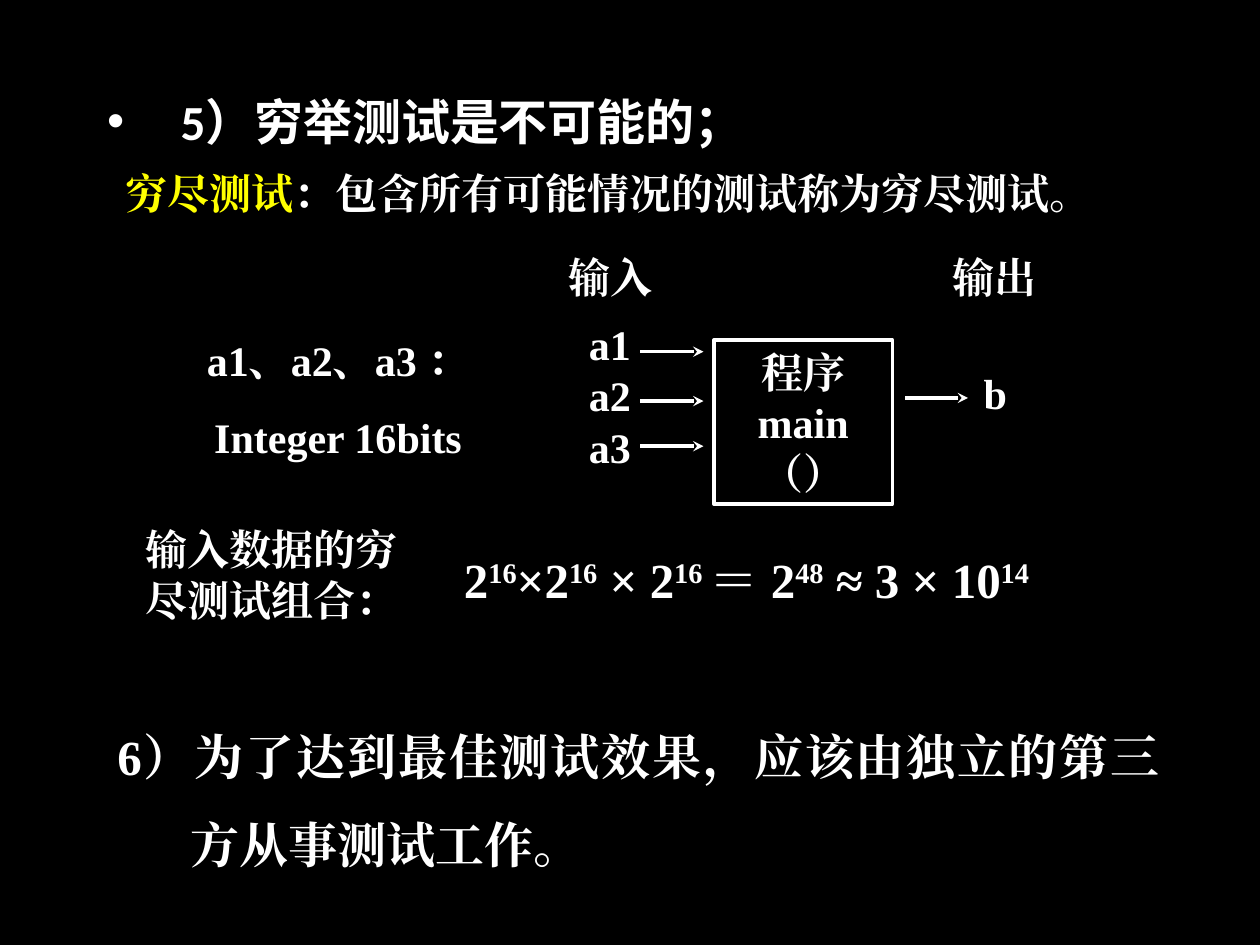
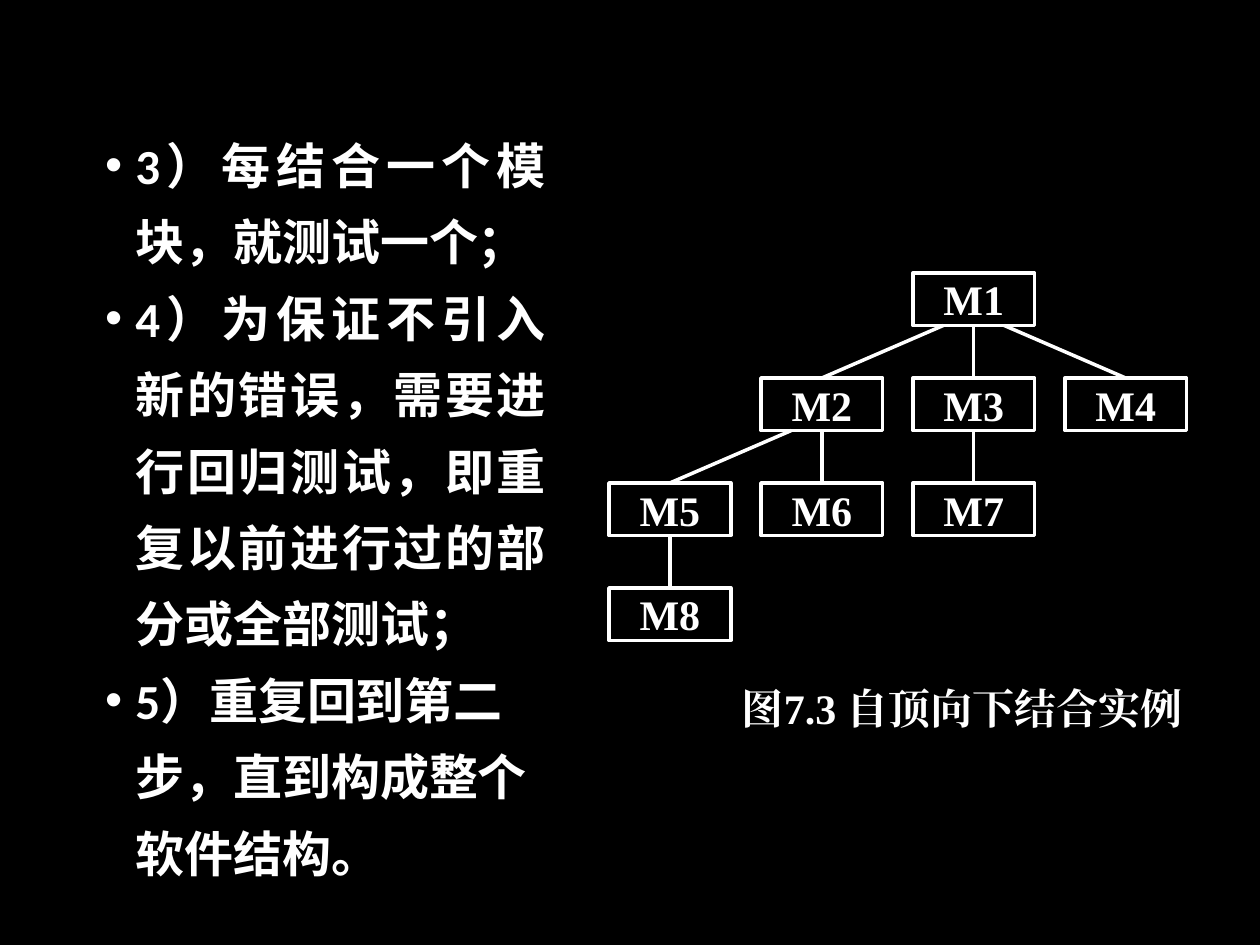
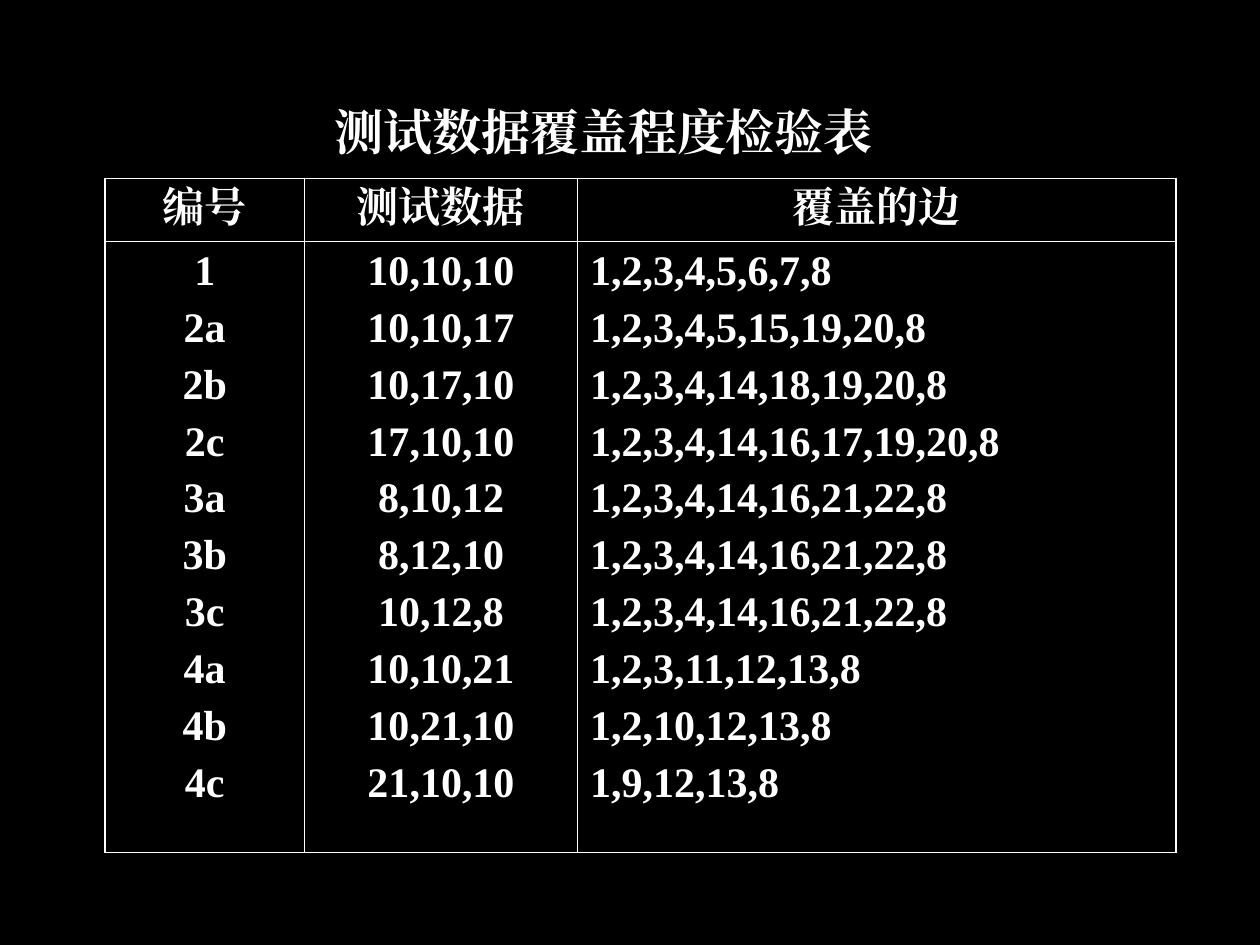
import pptx
import pptx.util
import pptx.dml.color
import pptx.enum.dml
import pptx.enum.shapes
import pptx.enum.text
import pptx.oxml
import pptx.oxml.ns

COLUMNS, ROWS = 120, 90
WIDTH, HEIGHT = pptx.util.Inches(10), pptx.util.Inches(7.5)
WHITE, YELLOW, BLACK = "FFFFFF", "FFFF00", "000000"
SERIF, SANS, CJK = "Times New Roman", "Calibri", "Noto Sans CJK SC"
LABEL = {"size": pptx.util.Pt(24), "name": SERIF, "bold": True}
HEADING = {**LABEL, "size": pptx.util.Pt(28)}
LIST = {**HEADING, "name": SANS}
PAD = (0.1, 0.05, 0.1, 0.05)
ALIGN = pptx.enum.text.PP_ALIGN
ANCHOR = pptx.enum.text.MSO_ANCHOR

MODULES = {"M1": (2, 0), "M2": (1, 1), "M3": (2, 1), "M4": (3, 1),
           "M5": (0, 2), "M6": (1, 2), "M7": (2, 2), "M8": (0, 3)}
CALLS = [("M1", "M2"), ("M1", "M3"), ("M1", "M4"), ("M2", "M5"),
         ("M2", "M6"), ("M3", "M7"), ("M5", "M8")]
HEADERS = ["编号", "测试数据", "覆盖的边"]
CASES = [
    ("1", "10,10,10", "1,2,3,4,5,6,7,8"),
    ("2a", "10,10,17", "1,2,3,4,5,15,19,20,8"),
    ("2b", "10,17,10", "1,2,3,4,14,18,19,20,8"),
    ("2c", "17,10,10", "1,2,3,4,14,16,17,19,20,8"),
    ("3a", "8,10,12", "1,2,3,4,14,16,21,22,8"),
    ("3b", "8,12,10", "1,2,3,4,14,16,21,22,8"),
    ("3c", "10,12,8", "1,2,3,4,14,16,21,22,8"),
    ("4a", "10,10,21", "1,2,3,11,12,13,8"),
    ("4b", "10,21,10", "1,2,10,12,13,8"),
    ("4c", "21,10,10", "1,9,12,13,8"),
]


def rgb(color):
    """Turn a hex string into a colour."""
    return pptx.dml.color.RGBColor.from_string(color)


def across(columns):
    """Length of a number of grid columns."""
    return int(WIDTH * columns / COLUMNS)


def down(rows):
    """Length of a number of grid rows."""
    return int(HEIGHT * rows / ROWS)


def grid(x, y, w, h):
    """Turn a box in grid units into lengths."""
    return across(x), down(y), across(w), down(h)


def add_run(p, text, font, color=WHITE, raised=False):
    """Add one formatted run to a paragraph."""
    r = p.add_run()
    r.text = text
    for key, value in font.items():
        setattr(r.font, key, value)
    r.font.color.rgb = rgb(color)
    ea = pptx.oxml.parse_xml(
        f'<a:ea {pptx.oxml.ns.nsdecls("a")} typeface="{font["name"]}"/>')
    r.font._element.find(pptx.oxml.ns.qn("a:latin")).addnext(ea)
    if raised:
        r.font._element.set("baseline", "30000")


def write(tf, paragraphs, font, align=ALIGN.LEFT, spacing=1.0, gap=0, hang=None):
    """Write paragraphs, each a string or a list of (text, changes) runs."""
    for i, runs in enumerate(paragraphs):
        p = tf.paragraphs[0] if i == 0 else tf.add_paragraph()
        formats = {"alignment": align, "line_spacing": spacing,
                   "space_before": pptx.util.Pt(gap if i else 0)}
        for key, value in formats.items():
            setattr(p, key, value)
        if hang is not None:
            pPr = p._p.get_or_add_pPr()
            pPr.set("marL", str(across(hang)))
            pPr.set("indent", str(-across(hang)))
        for text, changes in [(runs, {})] if isinstance(runs, str) else runs:
            add_run(p, text, **{"font": font, **changes})


def set_frame(tf, insets=PAD, anchor=ANCHOR.TOP):
    """Set wrapping, insets and anchor of a text frame."""
    formats = {"word_wrap": True, "vertical_anchor": anchor,
               "auto_size": pptx.enum.text.MSO_AUTO_SIZE.NONE}
    sides = ("margin_left", "margin_top", "margin_right", "margin_bottom")
    formats.update(zip(sides, map(pptx.util.Inches, insets)))
    for key, value in formats.items():
        setattr(tf, key, value)


def add_text(s, box, paragraphs, font=LABEL, insets=PAD, **layout):
    """Add a text box."""
    tf = s.shapes.add_textbox(*grid(*box)).text_frame
    set_frame(tf, insets)
    write(tf, paragraphs, font, **layout)


def fill_placeholder(sp, box, paragraphs, font, insets=PAD, **layout):
    """Move a placeholder and write into it."""
    sp.left, sp.top, sp.width, sp.height = grid(*box)
    set_frame(sp.text_frame, insets)
    write(sp.text_frame, paragraphs, font, **layout)


def add_node(s, box, text, insets=PAD):
    """Add an outlined rectangle with a centred label."""
    sp = s.shapes.add_shape(pptx.enum.shapes.MSO_SHAPE.RECTANGLE, *grid(*box))
    sp.shadow.inherit = False
    sp.fill.background()
    sp.line.color.rgb = rgb(WHITE)
    sp.line.width = pptx.util.Pt(2)
    set_frame(sp.text_frame, insets, ANCHOR.MIDDLE)
    write(sp.text_frame, [text], LABEL, ALIGN.CENTER)
    return sp


def add_line(s, x1, y1, x2, y2, arrow=False):
    """Add a straight line between two points."""
    line = s.shapes.add_connector(
        pptx.enum.shapes.MSO_CONNECTOR.STRAIGHT, x1, y1, x2, y2)
    line.line.color.rgb = rgb(WHITE)
    line.line.width = pptx.util.Pt(2)
    ns = pptx.oxml.ns.nsdecls("a")
    if arrow:
        line.line._get_or_add_ln().append(
            pptx.oxml.parse_xml(f'<a:tailEnd {ns} type="stealth"/>'))
    line._element.spPr.append(pptx.oxml.parse_xml(f"<a:effectLst {ns}/>"))
    return line


def add_slide(prs, layout, drop_title=False):
    """Add a slide, without its title if that is not needed."""
    s = prs.slides.add_slide(prs.slide_layouts[layout])
    if drop_title:
        title = s.shapes.title._element
        title.getparent().remove(title)
    return s


def draw_program(s, x, y):
    """Draw the program box with its inputs and output."""
    add_node(s, (x + 15, y + 9, 17, 15.6), "程序main（）")
    for i, name in enumerate(["a1", "a2", "a3"]):
        add_text(s, (x + 1.9, y + 6.3 + 4.95 * i, 7, 6), [name])
    add_text(s, (x + 39.5, y + 11, 7, 6), ["b"])
    for left, top in [(8, 10.1), (8, 14.8), (8, 19.1), (33.2, 14.5)]:
        add_line(s, across(x + left), down(y + top),
                 across(x + left + 6), down(y + top), arrow=True)
    for left, caption in [(0, "输入"), (36.5, "输出")]:
        add_text(s, (x + left, y, 13, 6), [caption])


def draw_combinations(s, x, y):
    """Write the input data and the number of their combinations."""
    add_text(s, (x + 5.6, y, 31.2, 18.1), ["a1、a2、a3 ：", "Integer 16bits"],
             align=ALIGN.CENTER, gap=15)
    add_text(s, (x, y + 18, 28, 10.8), ["输入数据的穷尽测试组合："],
             align=ALIGN.RIGHT)
    powers = [("2", "16"), ("×2", "16"), (" × 2", "16 "),
              ("＝ 2", "48"), (" ≈ 3 × 10", "14")]
    runs = [run for base, power in powers
            for run in ((base, {}), (power, {"raised": True}))]
    add_text(s, (x + 32, y + 20.4, 70, 6.8), [runs], HEADING)


def draw_tree(s, x, y):
    """Draw the module tree and its caption."""
    nodes = {name: add_node(s, (x + 14.47 * column, y + 10 * row, 11.6, 5),
                            name, (0, 0, 0, 0))
             for name, (column, row) in MODULES.items()}
    for parent, child in CALLS:
        a, b = nodes[parent], nodes[child]
        side = MODULES[child][0] - MODULES[parent][0]
        line = add_line(s, a.left + a.width * (2 + side) // 4, a.top + a.height,
                        b.left + b.width // 2, b.top)
        if side == 0:
            line.begin_connect(a, 2)
        line.end_connect(b, 0)
    add_text(s, (x + 9, y + 39, 49.3, 5), ["图7.3 自顶向下结合实例"],
             insets=(0, 0, 0, 0), align=ALIGN.CENTER)


def set_borders(cell, widths):
    """Draw the left, right, top and bottom borders of a cell."""
    tcPr = cell._tc.get_or_add_tcPr()
    for side, width in zip("LRTB", widths):
        tcPr.append(pptx.oxml.parse_xml(
            f'<a:ln{side} {pptx.oxml.ns.nsdecls("a")} w="{pptx.util.Pt(width)}">'
            f'<a:solidFill><a:srgbClr val="{WHITE}"/></a:solidFill></a:ln{side}>'))


def draw_coverage(s, x, y, columns=(19, 26, 57), rows=(6, 58.2)):
    """Draw the table of test data and the edges they cover."""
    table = s.shapes.add_table(
        len(rows), len(columns), *grid(x, y, sum(columns), sum(rows))).table
    table.first_row = table.horz_banding = False
    for i, height in enumerate(rows):
        table.rows[i].height = down(height)
    contents = [[[header] for header in HEADERS], list(zip(*CASES))]
    thin, thick = 0.45, 1.08
    for j, width in enumerate(columns):
        table.columns[j].width = across(width)
        for i in range(len(rows)):
            cell = table.cell(i, j)
            edges = (j == 0, j == len(columns) - 1, i == 0, i == len(rows) - 1)
            set_borders(cell, [thick if edge else thin for edge in edges])
            cell.fill.background()
            align = ALIGN.LEFT if i and j == 2 else ALIGN.CENTER
            write(cell.text_frame, contents[i][j], LABEL, align, gap=6)


def exhaustive_slide(prs):
    """Build the slide on exhaustive testing."""
    s = add_slide(prs, 1, drop_title=True)
    fill_placeholder(s.placeholders[1], (9, 5.3, 102, 12.2),
                     ["5）穷举测试是不可能的；"], LIST, spacing=1.5, hang=7)
    add_text(s, (10.8, 13, 100, 8.4),
             [[("穷尽测试", {"color": YELLOW}),
               ("：包含所有可能情况的测试称为穷尽测试。", {})]], spacing=1.5)
    draw_program(s, 53, 23.4)
    draw_combinations(s, 11, 31.3)
    add_text(s, (10, 65.8, 101.6, 18),
             ["6）为了达到最佳测试效果，应该由独立的第三方从事测试工作。"],
             HEADING, align=ALIGN.JUSTIFY, spacing=1.5, hang=7)


def integration_slide(prs):
    """Build the slide on top-down integration."""
    s = add_slide(prs, 1, drop_title=True)
    body = s.placeholders[1]
    steps = ["3）每结合一个模块，就测试一个；",
             "4）为保证不引入新的错误，需要进行回归测试，即重复以前进行过的部分或全部测试；",
             [("5", {}), ("）重复回到第二步，直到构成整个软件结构。",
                          {"font": {**LIST, "name": CJK}})]]
    fill_placeholder(body, (10, 10.6, 42, 76), steps, LIST, (0, 0.05, 0, 0.05),
                     align=ALIGN.JUSTIFY, spacing=1.3, hang=2.9)
    body.text_frame.paragraphs[-1].alignment = ALIGN.LEFT
    draw_tree(s, 58, 26)


def coverage_slide(prs):
    """Build the slide with the coverage table."""
    s = add_slide(prs, 5)
    fill_placeholder(s.shapes.title, (29, 9.1, 57, 6.8),
                     ["测试数据覆盖程度检验表"], HEADING, align=ALIGN.CENTER)
    draw_coverage(s, 10, 17)


def main():
    """Build and save the presentation."""
    prs = pptx.Presentation()
    prs.slide_width, prs.slide_height = WIDTH, HEIGHT
    fill = prs.slide_master.background.fill
    fill.solid()
    fill.fore_color.rgb = rgb(BLACK)
    for build in (exhaustive_slide, integration_slide, coverage_slide):
        build(prs)
    prs.save("out.pptx")


if __name__ == "__main__":
    main()
